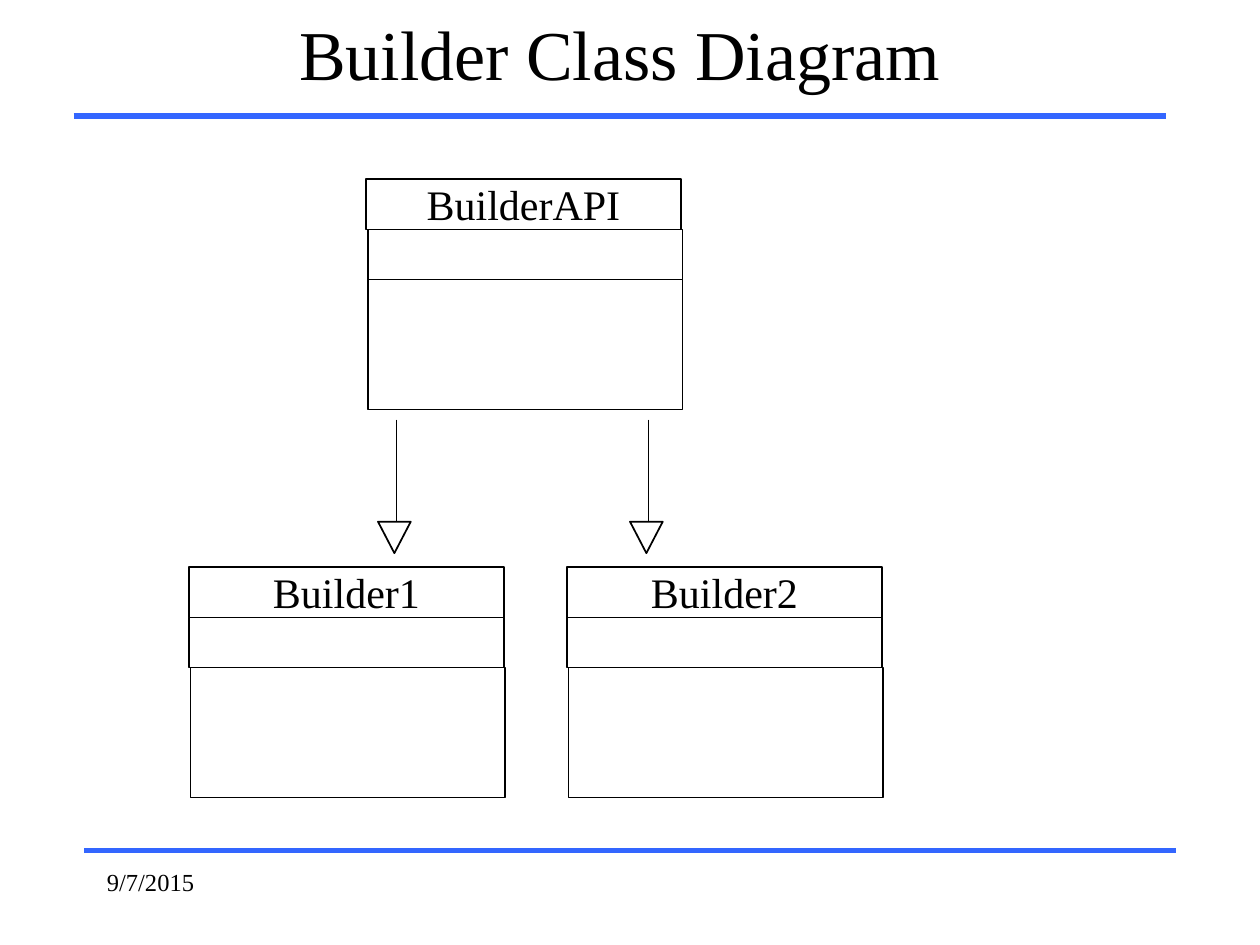
from lxml.etree import SubElement
from pptx import Presentation
from pptx.dml.color import RGBColor
from pptx.enum.shapes import MSO_CONNECTOR, MSO_SHAPE
from pptx.enum.text import MSO_ANCHOR, MSO_AUTO_SIZE, PP_ALIGN
from pptx.oxml.ns import qn
from pptx.util import Inches, Pt

BLACK = RGBColor(0x00, 0x00, 0x00)
WHITE = RGBColor(0xFF, 0xFF, 0xFF)
BLUE = RGBColor(0x33, 0x66, 0xFF)
FONT = "Times New Roman"
TITLE_ONLY = 5


class ClassDiagram:
    """Draws on a grid of 20 columns by 15 rows."""

    COLUMNS, ROWS = 20, 15
    NAME_ROWS, BODY_ROWS = 0.8, 2.06
    BOX_COLUMNS = 5

    def __init__(self, presentation):
        self.column = presentation.slide_width / self.COLUMNS
        self.row = presentation.slide_height / self.ROWS
        self.slide = presentation.slides.add_slide(
            presentation.slide_layouts[TITLE_ONLY])

    def place(self, column, row, columns, rows):
        return (round(column * self.column), round(row * self.row),
                round(columns * self.column), round(rows * self.row))

    def add_text(self, shape, text, size, alignment, anchor, wrap=True):
        frame = shape.text_frame
        frame.word_wrap = wrap
        frame.auto_size = MSO_AUTO_SIZE.NONE
        frame.vertical_anchor = anchor
        paragraph = frame.paragraphs[0]
        paragraph.alignment = alignment
        run = paragraph.add_run()
        run.text = text
        run.font.name = FONT
        run.font.size = Pt(size)
        run.font.color.rgb = BLACK

    def title(self, text, *cell):
        shape = self.slide.shapes.title
        shape.left, shape.top, shape.width, shape.height = self.place(*cell)
        self.add_text(shape, text, 40, PP_ALIGN.CENTER, MSO_ANCHOR.MIDDLE)

    def label(self, text, *cell):
        shape = self.slide.shapes.add_textbox(*self.place(*cell))
        self.add_text(shape, text, 14, PP_ALIGN.LEFT, MSO_ANCHOR.TOP)

    def line(self, shapes, start, end, color, width):
        left, top, right, bottom = self.place(*start, *end)
        connector = shapes.add_connector(
            MSO_CONNECTOR.STRAIGHT, left, top, right, bottom)
        connector.line.color.rgb = color
        connector.line.width = Pt(width)
        SubElement(connector._element.spPr, qn("a:effectLst"))

    def rule(self, column, row, columns):
        self.line(self.slide.shapes, (column, row), (column + columns, row),
                  BLUE, 3)

    def outline(self, shapes, kind, cell, width):
        shape = shapes.add_shape(kind, *self.place(*cell))
        shape.shadow.inherit = False
        shape.fill.solid()
        shape.fill.fore_color.rgb = WHITE
        shape.line.color.rgb = BLACK
        shape.line.width = Pt(width)
        return shape

    def class_box(self, name, column, row, attribute_inset, operation_inset):
        """Stacks the name, attribute and operation compartments."""
        shapes = self.slide.shapes.add_group_shape().shapes
        compartments = (
            (attribute_inset, self.NAME_ROWS, self.NAME_ROWS),
            (operation_inset, 2 * self.NAME_ROWS, self.BODY_ROWS),
            (0, 0, self.NAME_ROWS),
        )
        for inset, offset, rows in compartments:
            cell = (column + inset, row + offset, self.BOX_COLUMNS, rows)
            shape = self.outline(shapes, MSO_SHAPE.RECTANGLE, cell, 0.75)
        self.add_text(shape, name, 24, PP_ALIGN.CENTER, MSO_ANCHOR.MIDDLE,
                      wrap=False)

    def inheritance(self, column):
        """Draws a stem that ends in a hollow triangle pointing down."""
        shapes = self.slide.shapes.add_group_shape().shapes
        stem = column + 0.3
        self.line(shapes, (stem, 6.66), (stem, 8.5), BLACK, 0.5)
        head = self.outline(shapes, MSO_SHAPE.ISOSCELES_TRIANGLE,
                            (column, 8.28, 0.52, 0.5), 1)
        head.rotation = 180


def main():
    presentation = Presentation()
    presentation.slide_width = Inches(10)
    presentation.slide_height = Inches(7.5)
    diagram = ClassDiagram(presentation)

    # Title, rules and date
    diagram.rule(1.34, 13.5, 17.33)
    diagram.rule(1.17, 1.84, 17.33)
    diagram.title("Builder Class Diagram", 1.17, 0, 17.33, 1.67)
    diagram.label("9/7/2015", 1.5, 13.67, 4.17, 1)

    # Interface, then its two builders with their arrows
    diagram.class_box("BuilderAPI", 5.81, 2.84, 0.03, 0.03)
    for number, column in enumerate((3, 9), start=1):
        diagram.class_box(f"Builder{number}", column, 9, 0, 0.02)
    for column in (6, 10):
        diagram.inheritance(column)

    presentation.save("out.pptx")


if __name__ == "__main__":
    main()
